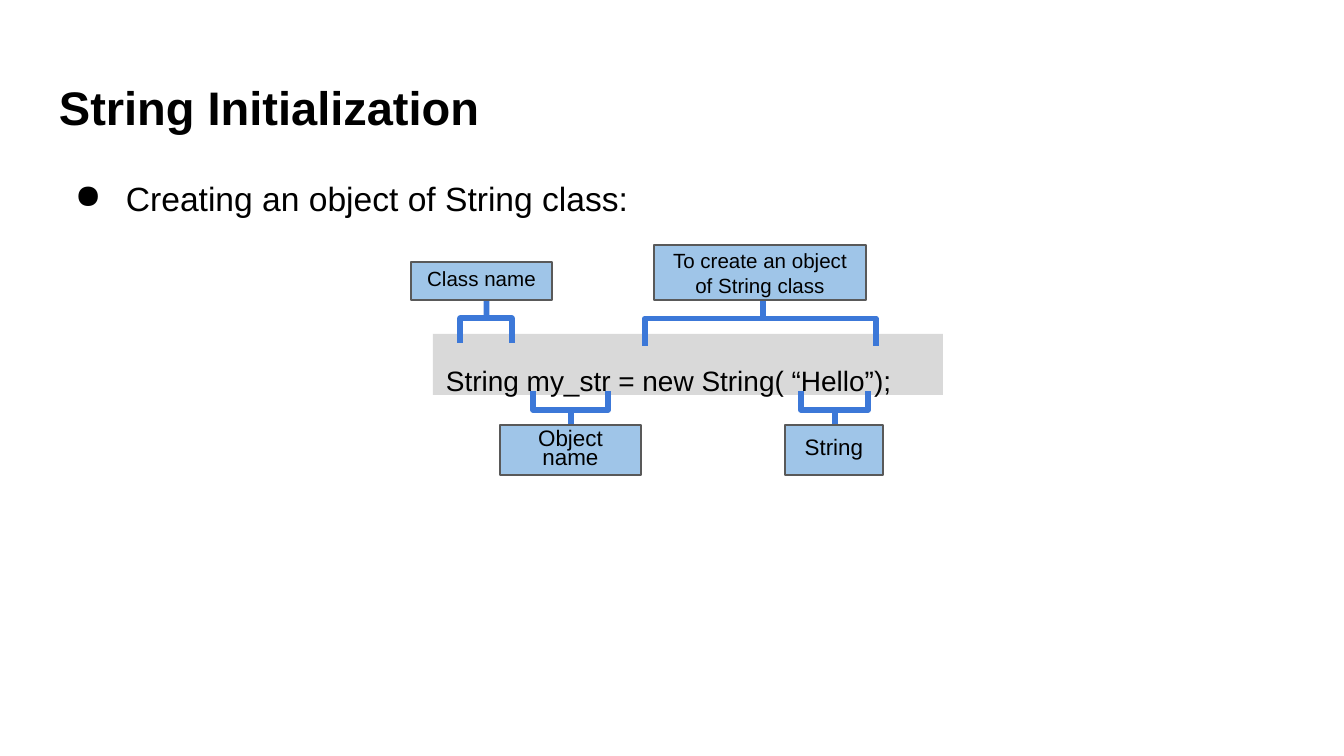
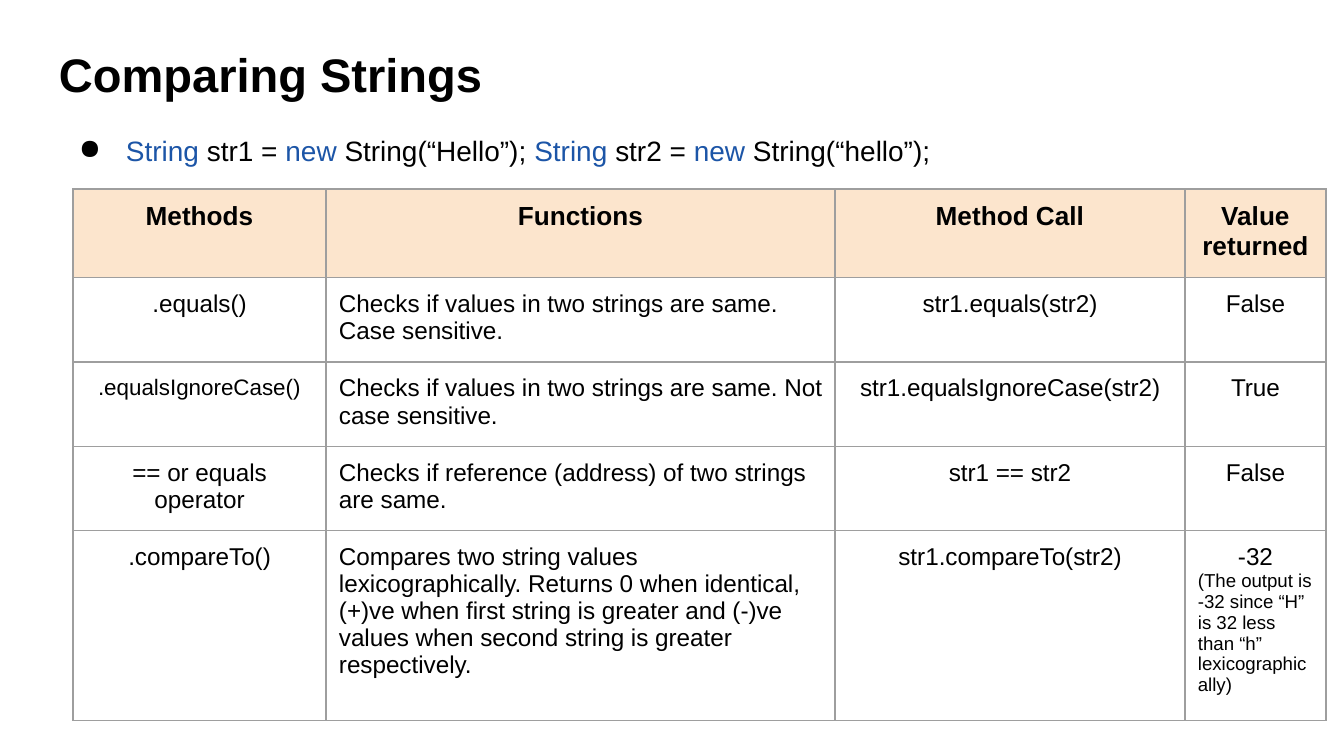
from lxml import etree
from pptx import Presentation
from pptx import util as u
from pptx.dml.color import RGBColor
from pptx.enum import shapes, text
from pptx.oxml import ns

PX = 914400 / 134.4
SLIDE_WIDTH, SLIDE_HEIGHT = 1344, 756
FONT = "Arial"
INSET = 13
COLORS = {
    "text": "000000",
    "keyword": "1C55A7",
    "code": "D9D9D9",
    "label": "9FC5E8",
    "label_line": "595959",
    "brace": "3C78D8",
    "header": "FCE5CD",
    "grid": "9E9E9E",
}
CENTER = text.PP_ALIGN.CENTER
LEFT = text.PP_ALIGN.LEFT


def px(length):
    return u.Emu(round(length * PX))


def emu_box(box):
    return [px(length) for length in box]


def rgb(name):
    return RGBColor.from_string(COLORS[name])


def add_run(paragraph, words, size, color="text", bold=False):
    run = paragraph.add_run()
    run.text = words
    run.font.name = FONT
    run.font.size = u.Pt(size)
    run.font.bold = bold
    run.font.color.rgb = rgb(color)


def set_insets(holder):
    """Give a text frame or a table cell the same inset on all sides."""
    holder.margin_left = holder.margin_right = px(INSET)
    holder.margin_top = holder.margin_bottom = px(INSET)


def prepare_frame(shape, anchor=text.MSO_ANCHOR.TOP):
    frame = shape.text_frame
    frame.word_wrap = True
    frame.vertical_anchor = anchor
    set_insets(frame)
    return frame


def add_solid(parent, color):
    fill = etree.SubElement(parent, ns.qn("a:solidFill"))
    etree.SubElement(fill, ns.qn("a:srgbClr"), val=COLORS[color])


# Shared slide parts

def add_title(slide, top, words):
    shape = slide.shapes.add_textbox(*emu_box((46, top, 1253, 85)))
    add_run(prepare_frame(shape).paragraphs[0], words, 25.2, bold=True)


def add_bullet(slide, box, runs, size, hanging):
    shape = slide.shapes.add_textbox(*emu_box(box))
    paragraph = prepare_frame(shape).paragraphs[0]
    properties = paragraph._p.get_or_add_pPr()
    properties.set("marL", str(px(67)))
    properties.set("indent", str(px(-hanging)))
    color = etree.SubElement(properties, ns.qn("a:buClr"))
    etree.SubElement(color, ns.qn("a:srgbClr"), val=COLORS["text"])
    etree.SubElement(properties, ns.qn("a:buChar"), char="●")
    paragraph.line_spacing = 1.15
    for words, color_name in runs:
        add_run(paragraph, words, size, color_name)


# Annotated line of code

def add_code_line(slide, box, words):
    shape = slide.shapes.add_shape(shapes.MSO_SHAPE.RECTANGLE, *emu_box(box))
    shape.shadow.inherit = False
    shape.fill.solid()
    shape.fill.fore_color.rgb = rgb("code")
    shape.line.fill.background()
    frame = prepare_frame(shape)
    frame.auto_size = text.MSO_AUTO_SIZE.SHAPE_TO_FIT_TEXT
    paragraph = frame.paragraphs[0]
    paragraph.alignment = LEFT
    paragraph.line_spacing = 1.5
    add_run(paragraph, words, 15)


def add_brace(slide, box, points_down):
    """Turn a left brace by 90 degrees so that it fills the given box."""
    left, top, width, height = box
    shift = (width - height) / 2
    turned = (left + shift, top - shift, height, width)
    brace = slide.shapes.add_shape(shapes.MSO_SHAPE.LEFT_BRACE, *emu_box(turned))
    brace.shadow.inherit = False
    brace.adjustments[0] = 0
    brace.adjustments[1] = 0.49
    brace.rotation = 90
    if points_down:
        brace._element.spPr.xfrm.set("flipH", "1")
    brace.fill.background()
    brace.line.color.rgb = rgb("brace")
    brace.line.width = u.Pt(3)


def add_label(slide, box, words, size, spacing):
    label = slide.shapes.add_shape(shapes.MSO_SHAPE.RECTANGLE, *emu_box(box))
    label.shadow.inherit = False
    label.fill.solid()
    label.fill.fore_color.rgb = rgb("label")
    label.line.color.rgb = rgb("label_line")
    label.line.width = u.Pt(0.75)
    paragraph = prepare_frame(label, text.MSO_ANCHOR.MIDDLE).paragraphs[0]
    paragraph.alignment = CENTER
    paragraph.line_spacing = spacing
    add_run(paragraph, words, size)


def add_code_diagram(slide, left, top):
    """Place the code line with its braces and labels from one corner."""
    def place(box):
        return (left + box[0], top + box[1], box[2], box[3])

    add_code_line(slide, place((22, 89, 510, 61)),
                  "String my_str = new String( “Hello”);")
    # brace box, points down, label box, words, size, line spacing
    annotations = [
        ((49, 48, 52, 50), False, (0, 17, 141, 38), "Class name", 11, 0.7),
        ((122, 146, 75, 38), True, (89, 180, 141, 50), "Object name", 12, 0.7),
        ((234, 46, 231, 55), False, (243, 0, 212, 55),
         "To create an object of String class", 11, 1.0),
        ((390, 146, 67, 38), True, (374, 180, 98, 50), "String", 12, 0.7),
    ]
    for brace_box, points_down, label_box, words, size, spacing in annotations:
        add_brace(slide, place(brace_box), points_down)
        add_label(slide, place(label_box), words, size, spacing)


# Table of comparison methods

def add_cell_borders(cell):
    properties = cell._tc.get_or_add_tcPr()
    for side in ("lnL", "lnR", "lnT", "lnB"):
        line = etree.SubElement(properties, ns.qn(f"a:{side}"), w=str(u.Pt(0.75)))
        add_solid(line, "grid")


def fill_cell(cell, lines, alignment, header):
    """Write (words, size) lines; the first takes the column's alignment."""
    set_insets(cell)
    add_cell_borders(cell)
    if header:
        cell.fill.solid()
        cell.fill.fore_color.rgb = rgb("header")
    else:
        cell.fill.background()
    for index, (words, size) in enumerate(lines):
        frame = cell.text_frame
        paragraph = frame.add_paragraph() if index else frame.paragraphs[0]
        paragraph.alignment = LEFT if index else alignment
        add_run(paragraph, words, size, bold=header)


def add_methods_table(slide, left, top):
    widths = [253, 509, 350, 141]
    heights = [87, 83, 83, 83, 169]
    rows = [
        ["Methods", "Functions", "Method Call", "Value returned"],
        [".equals()",
         "Checks if values in two strings are same. Case sensitive.",
         "str1.equals(str2)", "False"],
        [[(".equalsIgnoreCase()", 12)],
         "Checks if values in two strings are same. Not case sensitive.",
         "str1.equalsIgnoreCase(str2)", "True"],
        ["== or equals operator",
         "Checks if reference (address) of two strings are same.",
         "str1 == str2", "False"],
        [".compareTo()",
         "Compares two string values lexicographically. Returns 0 when "
         "identical, (+)ve when first string is greater and (-)ve values "
         "when second string is greater respectively.",
         "str1.compareTo(str2)",
         [("-32", 13),
          ("(The output is -32 since “H” is 32 less than “h” "
           "lexicographically)", 10)]],
    ]
    box = (left, top, sum(widths), sum(heights))
    table = slide.shapes.add_table(len(rows), len(widths), *emu_box(box)).table
    table.first_row = False
    table.horz_banding = False
    for column, width in zip(table.columns, widths):
        column.width = px(width)
    for row, height in zip(table.rows, heights):
        row.height = px(height)
    for row_index, row in enumerate(rows):
        header = row_index == 0
        for column_index, content in enumerate(row):
            if isinstance(content, str):
                content = [(content, 14 if header else 13)]
            alignment = LEFT if column_index == 1 and not header else CENTER
            fill_cell(table.cell(row_index, column_index), content,
                      alignment, header)


# Slides

def build_initialization(slide):
    add_title(slide, 66, "String Initialization")
    add_bullet(slide, (46, 159, 1253, 570),
               [("Creating an object of String class:", "text")], 18, 51)
    add_code_diagram(slide, 411, 245)


def build_comparison(slide):
    add_title(slide, 32, "Comparing Strings")
    add_methods_table(slide, 73, 189)
    runs = []
    for variable, ending in (("str1", "“Hello”); "), ("str2", "“hello”);")):
        runs += [("String", "keyword"), (f" {variable} = ", "text"),
                 ("new", "keyword"), (f" String({ending}", "text")]
    add_bullet(slide, (46, 116, 1253, 62), runs, 15, 47)


def main():
    presentation = Presentation()
    presentation.slide_width = px(SLIDE_WIDTH)
    presentation.slide_height = px(SLIDE_HEIGHT)
    blank = presentation.slide_layouts[6]
    for build in (build_initialization, build_comparison):
        build(presentation.slides.add_slide(blank))
    presentation.save("out.pptx")


if __name__ == "__main__":
    main()
